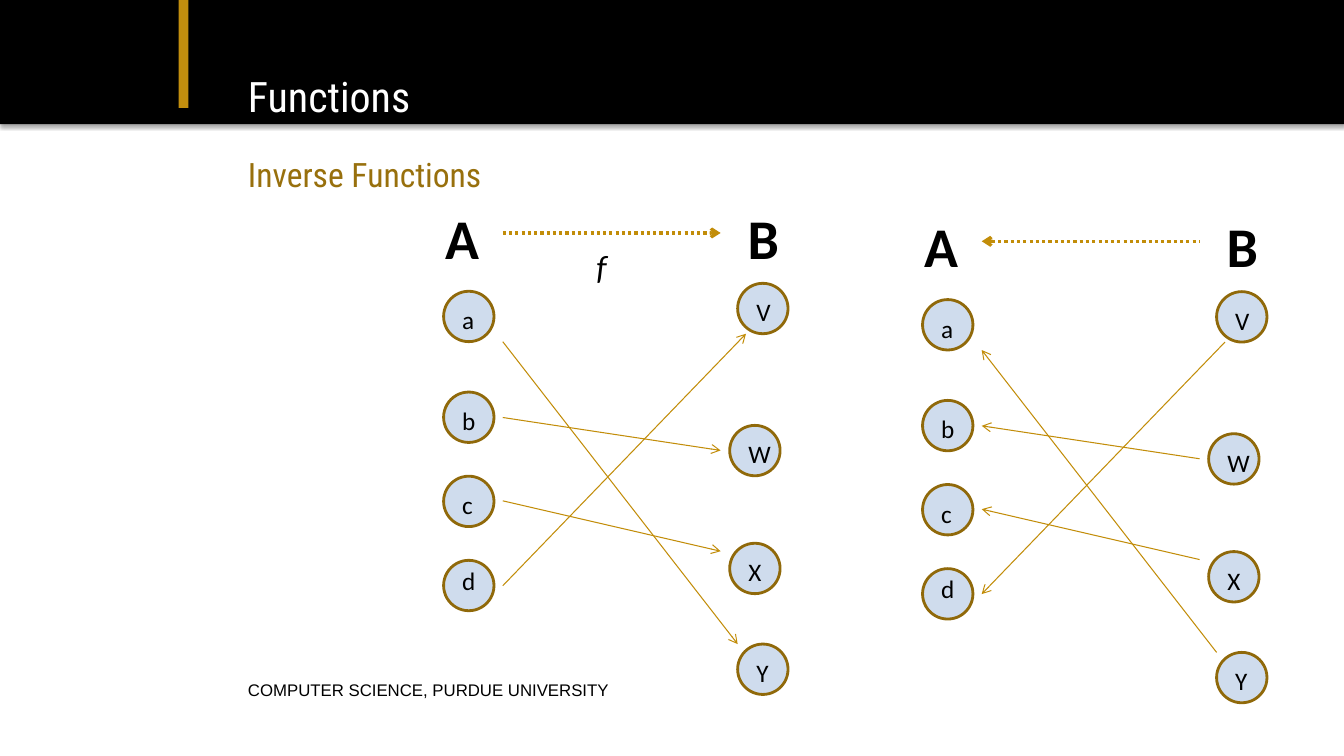
from lxml import etree
from pptx import Presentation
from pptx import util as u
from pptx.dml.color import RGBColor
from pptx.enum import dml, shapes, text
from pptx.oxml import ns

COLORS = {
    "black": "000000", "white": "FFFFFF", "gold": "C28E0E", "heading": "98700D",
    "node": "4F81BD", "ring": "90690A", "arrow": "C28D09",
}
NODE_SIZE = 1.27

# Nodes of the left diagram: label, left, top, label drop (cm)
NODES = [
    ("a", 11.18, 7.34, 0.21), ("b", 11.18, 9.88, 0.21),
    ("c", 11.18, 12, 0.21), ("d", 11.18, 14.12, 0),
    ("V", 18.59, 7.14, 0.21), ("W", 18.39, 10.72, 0.21),
    ("X", 18.39, 13.69, 0.21), ("Y", 18.59, 16.23, 0.21),
]
# Mappings from A to B: start y, end x, end y (cm)
ARROW_START = 12.67
MAPPINGS = [
    (8.61, 18.59, 16.23), (10.52, 18.16, 11.35),
    (12.62, 18.16, 13.89), (14.76, 18.8, 8.41),
]
SET_NAMES = [("A", 10.97), ("B", 18.59)]


def color(name):
    return RGBColor.from_string(COLORS[name])


def sub(parent, tag, **attrs):
    return etree.SubElement(parent, ns.qn(tag), attrs)


def add_text(parent, content, box, size, font="Calibri", ink="black",
             bold=False, italic=False, inset=None, anchor=text.MSO_ANCHOR.TOP):
    sp = parent.shapes.add_textbox(*map(u.Cm, box))
    tf = sp.text_frame
    tf.word_wrap = True
    tf.vertical_anchor = anchor
    if inset is not None:
        tf.margin_left = tf.margin_right = u.Cm(inset)
        tf.margin_top = tf.margin_bottom = u.Cm(inset)
    r = tf.paragraphs[0].add_run()
    r.text = content
    r.font.name, r.font.size = font, u.Pt(size)
    r.font.bold, r.font.italic = bold, italic
    r.font.color.rgb = color(ink)


def add_heading(s, content, top, height, size, font, ink):
    add_text(s, content, (6.25, top, 22.6, height), size, font, ink,
             inset=0, anchor=text.MSO_ANCHOR.MIDDLE)


def add_band(s, box, fill):
    sp = s.shapes.add_shape(shapes.MSO_SHAPE.RECTANGLE, *map(u.Cm, box))
    sp.fill.solid()
    sp.fill.fore_color.rgb = color(fill)
    sp.line.fill.background()
    effects = sub(sp.fill._xPr, "a:effectLst")
    shadow = sub(effects, "a:outerShdw", blurRad=str(u.Pt(3.1)),
                 dist=str(u.Pt(1.8)), dir="5400000", rotWithShape="0")
    shade = sub(shadow, "a:srgbClr", val=COLORS["black"])
    sub(shade, "a:alpha", val="35000")


def add_node(group, label, x, y, drop):
    sp = group.shapes.add_shape(shapes.MSO_SHAPE.FLOWCHART_CONNECTOR, u.Cm(x),
                                u.Cm(y), u.Cm(NODE_SIZE), u.Cm(NODE_SIZE))
    sp.shadow.inherit = False
    sp.fill.solid()
    sp.fill.fore_color.rgb = color("node")
    tint = sp.fill._xPr.find(".//" + ns.qn("a:srgbClr"))
    sub(tint, "a:alpha", val="27000")
    sp.line.color.rgb = color("ring")
    sp.line.width = u.Pt(2)
    add_text(group, label, (x + 0.22, y + drop, 0.84, 1.02), 18)


def add_arrow(group, x1, y1, x2, y2, end, width=0.75, dash=None):
    line = group.shapes.add_connector(shapes.MSO_CONNECTOR.STRAIGHT,
                                      *map(u.Cm, (x1, y1, x2, y2)))
    line.line.color.rgb = color("arrow")
    line.line.width = u.Pt(width)
    if dash:
        line.line.dash_style = dash
    sub(line.line._get_or_add_ln(), end, type="arrow")
    sub(line._element.spPr, "a:effectLst")


def add_diagram(s, dx, dy, end):
    group = s.shapes.add_group_shape()
    for name, x in SET_NAMES:
        add_text(group, name, (x + dx, 5 + dy, 1.9, 1.96), 40, bold=True)
    for label, x, y, drop in NODES:
        add_node(group, label, x + dx, y + dy, drop)
    start = ARROW_START + dx
    for y1, x2, y2 in MAPPINGS:
        add_arrow(group, start, y1 + dy, x2 + dx, y2 + dy, end)
    add_arrow(group, start, 5.87 + dy, 18.16 + dx, 5.87 + dy, end,
              2.25, dml.MSO_LINE.ROUND_DOT)
    return group


def main():
    prs = Presentation()
    prs.slide_width, prs.slide_height = u.Cm(33.87), u.Cm(19.05)
    s = prs.slides.add_slide(prs.slide_layouts[6])

    # Header band and accent bar
    add_band(s, (0, -0.02, 33.87, 3.15), "black")
    add_band(s, (4.5, 0, 0.25, 2.72), "gold")

    # Title, subtitle and footer
    add_heading(s, "Functions", 1.68, 1.47, 30, "Roboto Condensed", "white")
    add_heading(s, "Inverse Functions", 3.81, 1.17, 24, "Roboto Condensed", "heading")
    add_heading(s, "COMPUTER SCIENCE, PURDUE UNIVERSITY", 17.09, 0.61, 12,
                "Arial", "black")

    # The function and its inverse
    function = add_diagram(s, 0, 0, "a:tailEnd")
    add_text(function, "f", (14.78, 6.07, 1.47, 1.27), 24, italic=True)
    add_diagram(s, 12.07, 0.21, "a:headEnd")

    prs.save("out.pptx")


if __name__ == "__main__":
    main()
